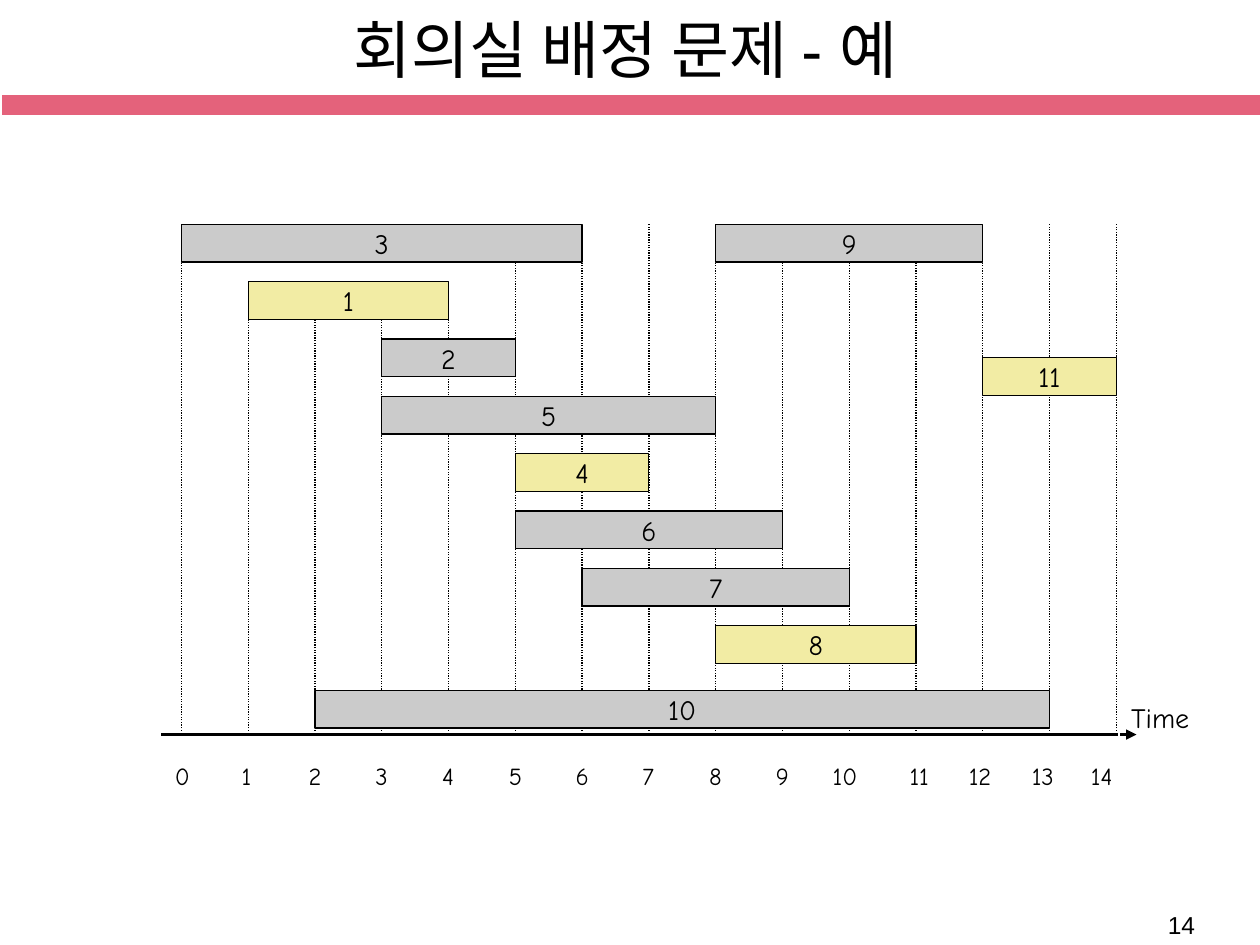
from lxml import etree
from pptx import Presentation
from pptx.dml.color import RGBColor
from pptx.enum.dml import MSO_LINE
from pptx.enum.shapes import MSO_CONNECTOR, MSO_SHAPE
from pptx.enum.text import MSO_ANCHOR, MSO_AUTO_SIZE, PP_ALIGN
from pptx.oxml.ns import qn
from pptx.util import Inches, Pt

RECTANGLE = MSO_SHAPE.RECTANGLE
STRAIGHT = MSO_CONNECTOR.STRAIGHT
DOTTED = MSO_LINE.ROUND_DOT
MIDDLE = MSO_ANCHOR.MIDDLE
TOP = MSO_ANCHOR.TOP
CENTER = PP_ALIGN.CENTER
LEFT = PP_ALIGN.LEFT
FIXED_SIZE = MSO_AUTO_SIZE.NONE
GROW = MSO_AUTO_SIZE.SHAPE_TO_FIT_TEXT

BLACK, WHITE, PINK = "000000", "FFFFFF", "E4627B"
GRAY, YELLOW = "CBCBCB", "F2ECA4"
HAND_FONT, PLAIN_FONT = "Comic Neue", "Arial"

SLIDE_WIDTH, SLIDE_HEIGHT = 10, 7.5
TIME_ZERO, HOUR_WIDTH = 1.44, 0.53
FIRST_ROW, ROW_HEIGHT, BAR_HEIGHT = 1.78, 0.455, 0.3
AXIS_Y, GUIDE_BOTTOM, LABEL_TOP = 5.83, 5.8, 5.99

GUIDE_TOPS = [2.01, 2.31, 2.31, 2.31, 2.31, 2.08, 2.08, 1.77,
              2.08, 2.08, 2.08, 2.08, 2.08, 1.77, 1.77]
LABEL_OFFSETS = {10: 0.23, 12: 0.21, 13: 0.24, 14: 0.3}
MEETINGS = [
    ("3", 0, 6, 0, GRAY),
    ("1", 1, 4, 1, YELLOW),
    ("2", 3, 5, 2, GRAY),
    ("5", 3, 8, 3, GRAY),
    ("4", 5, 7, 4, YELLOW),
    ("6", 5, 9, 5, GRAY),
    ("7", 6, 10, 6, GRAY),
    ("8", 8, 11, 7, YELLOW),
    ("9", 8, 12, 0, GRAY),
    ("10", 2, 13, 8.13, GRAY),
    ("11", 12, 14, 2.33, YELLOW),
]


def color(value):
    return RGBColor.from_string(value)


def hour_x(hour):
    return TIME_ZERO + HOUR_WIDTH * hour


def write(shape, text, size, font, alignment, anchor):
    frame = shape.text_frame
    frame.vertical_anchor = anchor
    paragraph = frame.paragraphs[0]
    paragraph.alignment = alignment
    run = paragraph.add_run()
    run.text = text
    run.font.size = Pt(size)
    run.font.name = font
    run.font.color.rgb = color(BLACK)


def add_rectangle(slide, left, top, width, height, fill, line, line_width):
    shape = slide.shapes.add_shape(
        RECTANGLE, Inches(left), Inches(top), Inches(width), Inches(height))
    shape.shadow.inherit = False
    if fill:
        shape.fill.solid()
        shape.fill.fore_color.rgb = color(fill)
    else:
        shape.fill.background()
    shape.line.color.rgb = color(line)
    shape.line.width = Pt(line_width)
    return shape


def add_label(slide, text, left, top, width, height, size):
    shape = add_rectangle(slide, left, top, width, height, None, WHITE, 1.25)
    write(shape, text, size, HAND_FONT, LEFT, TOP)
    shape.text_frame.word_wrap = True
    shape.text_frame.auto_size = GROW


def add_meeting(slide, name, start, end, row, fill):
    shape = add_rectangle(
        slide, hour_x(start), FIRST_ROW + ROW_HEIGHT * row,
        HOUR_WIDTH * (end - start), BAR_HEIGHT, fill, BLACK, 0.75)
    write(shape, name, 16, HAND_FONT, CENTER, MIDDLE)
    shape.text_frame.word_wrap = False


def add_line(slide, start, end, width):
    connector = slide.shapes.add_connector(
        STRAIGHT, *[Inches(value) for value in (*start, *end)])
    connector.line.color.rgb = color(BLACK)
    connector.line.width = Pt(width)
    etree.SubElement(connector._element.spPr, qn("a:effectLst"))
    return connector


def add_time_axis(slide):
    axis = add_line(slide, (1.28, AXIS_Y), (9.02, AXIS_Y), 1.25)
    etree.SubElement(axis.line._get_or_add_ln(), qn("a:tailEnd"), type="triangle")
    add_label(slide, "Time", 8.88, 5.51, 0.83, 0.37, 16)
    for hour, top in enumerate(GUIDE_TOPS):
        offset = LABEL_OFFSETS.get(hour, 0.15)
        add_label(slide, str(hour), hour_x(hour) - offset, LABEL_TOP, 0.45, 0.34, 14)
        guide = add_line(slide, (hour_x(hour), GUIDE_BOTTOM), (hour_x(hour), top), 0.75)
        guide.line.dash_style = DOTTED


def add_title(slide, text):
    title = slide.shapes.title
    title.left, title.top = Inches(0.83), Inches(0.01)
    title.width, title.height = Inches(8.27), Inches(0.75)
    write(title, text, 36, PLAIN_FONT, CENTER, MIDDLE)
    title.text_frame.auto_size = FIXED_SIZE


def add_page_number(slide, text):
    box = slide.shapes.add_textbox(
        Inches(9.17), Inches(7.17), Inches(0.57), Inches(0.33))
    write(box, text, 14, PLAIN_FONT, LEFT, TOP)
    box.text_frame.word_wrap = True
    box.text_frame.auto_size = GROW


def main():
    presentation = Presentation()
    presentation.slide_width = Inches(SLIDE_WIDTH)
    presentation.slide_height = Inches(SLIDE_HEIGHT)
    slide = presentation.slides.add_slide(presentation.slide_layouts[5])
    add_rectangle(slide, 0.01, 0.75, SLIDE_WIDTH, 0.17, PINK, WHITE, 1)
    add_page_number(slide, "14")
    add_title(slide, "회의실 배정 문제 - 예")
    add_time_axis(slide)
    for meeting in MEETINGS:
        add_meeting(slide, *meeting)
    presentation.save("out.pptx")


if __name__ == "__main__":
    main()
